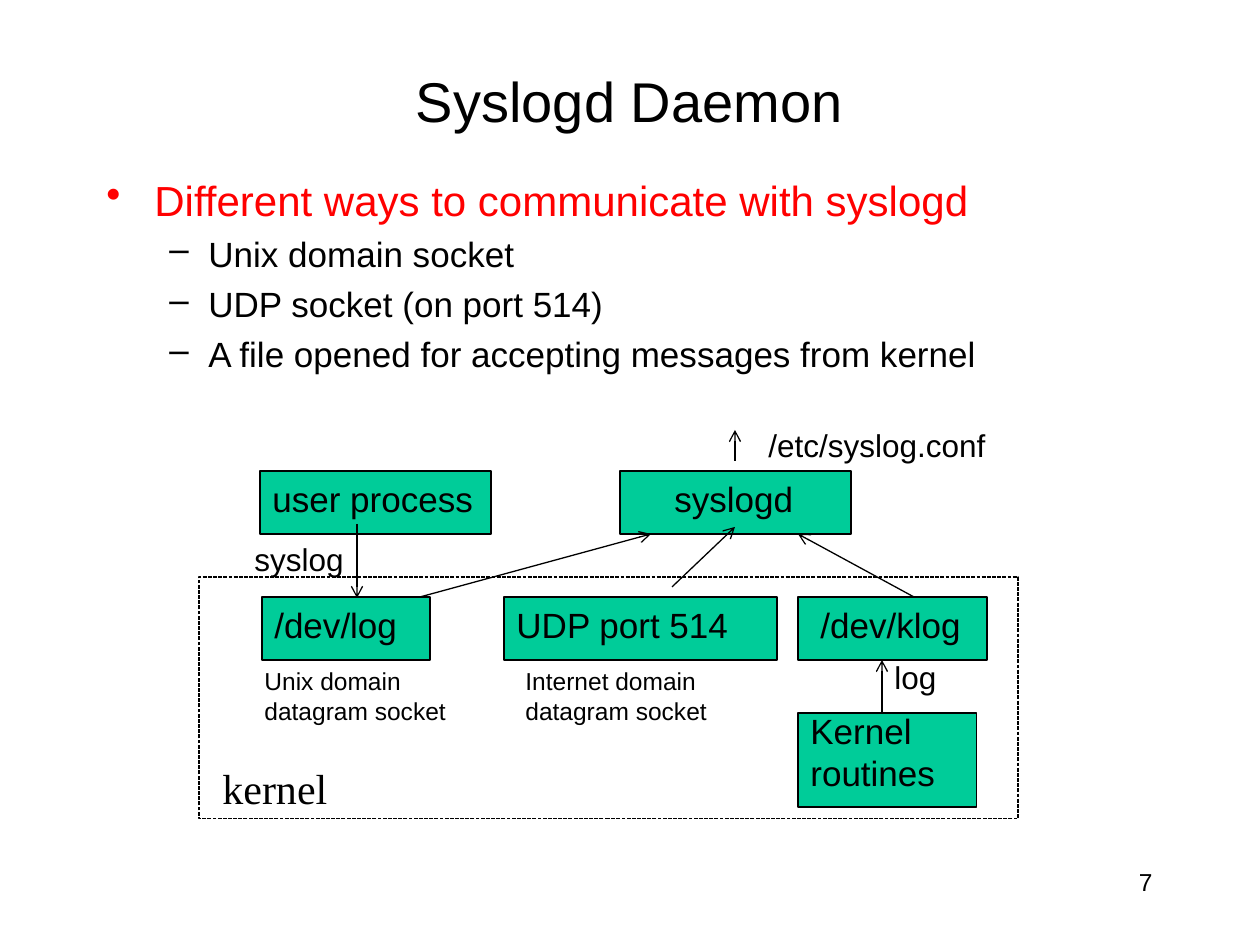
from pptx import Presentation
from pptx import util as u
from pptx.dml.color import RGBColor
from pptx.enum import dml, shapes, text
from pptx.oxml.ns import qn
from lxml import etree

PX = 914400 // 126
BLACK, GREEN, RED = "000000", "00CC99", "FF0000"

# Content: lengths in pixels
TITLE = ("Syslogd Daemon", (94, 53, 1071, 94))
BODY_AT = (94, 168, 1071, 230)
LEVELS = [  # bullet, left margin, hanging indent, size, colour, space before
    dict(char="•", margin=48, hang=48, size=24, color=RED, before=5.5),
    dict(char="–", margin=102, hang=39, size=20, color=BLACK, before=4.6),
]
BULLETS = [
    (0, "Different ways to communicate with syslogd"),
    (1, "Unix domain socket"),
    (1, "UDP socket (on port 514)"),
    (1, "A file opened for accepting messages from kernel"),
]
KERNEL_AREA = (199, 577, 819, 242)
USER_Y, DEV_Y, BOX_H = 471, 597, 63
BOXES = [
    (798, 713, 179, 94),
    (620, USER_Y, 231, BOX_H),
    (260, USER_Y, 231, BOX_H),
    (262, DEV_Y, 168, BOX_H),
    (504, DEV_Y, 273, BOX_H),
    (798, DEV_Y, 189, BOX_H),
]
LABELS = [  # text, place, size, wraps
    ("user process", (260, USER_Y, 228, 55), 20, False),
    ("syslogd", (662, USER_Y, 145, 55), 20, False),
    ("/dev/log", (262, DEV_Y, 149, 55), 20, False),
    ("UDP port 514", (504, DEV_Y, 284, 55), 20, True),
    ("/dev/klog", (808, DEV_Y, 210, 55), 20, True),
    ("syslog", (242, 534, 116, 50), 18, False),
    ("Unix domain\ndatagram socket", (252, 660, 208, 72), 14, False),
    ("Internet domain\ndatagram socket", (513, 660, 208, 72), 14, False),
    ("Kernel routines", (798, 703, 210, 97), 20, True),
    ("log", (882, 652, 68, 50), 18, False),
    ("/etc/syslog.conf", (756, 420, 244, 50), 18, False),
]
KERNEL_LABEL = ("kernel", (210, 756, 131, 63), 24, False)
PAGE_NUMBER = ("7", (903, 861, 262, 63), 14, True)
ARROWS = [  # x and y of start, x and y of head
    (357, 524, 357, 598),
    (420, 597, 651, 534),
    (672, 587, 735, 527),
    (914, 597, 798, 534),
    (735, 461, 735, 430),
    (882, 713, 882, 660),
]


# Helpers
def px(values):
    return [u.Emu(v * PX) for v in values]


def rgb(value):
    return RGBColor.from_string(value)


def write(p, words, size, color=BLACK, font="Arial"):
    r = p.add_run()
    r.text = words
    for name, value in dict(name=font, size=u.Pt(size), bold=False).items():
        setattr(r.font, name, value)
    r.font.color.rgb = rgb(color)


def add_label(words, at, size, wrap, font="Arial", align=text.PP_ALIGN.LEFT):
    tf = s.shapes.add_textbox(*px(at)).text_frame
    tf.word_wrap = wrap
    for i, line in enumerate(words.split("\n")):
        p = tf.add_paragraph() if i else tf.paragraphs[0]
        p.alignment = align
        write(p, line, size, font=font)


def outline(line):
    line.color.rgb = rgb(BLACK)
    line.width = u.Pt(0.75)


def add_box(at, fill=None):
    sp = s.shapes.add_shape(shapes.MSO_SHAPE.RECTANGLE, *px(at))
    sp.shadow.inherit = False
    outline(sp.line)
    if fill:
        sp.fill.solid()
        sp.fill.fore_color.rgb = rgb(fill)
    else:
        sp.fill.background()
    return sp


def add_arrow(ends):
    c = s.shapes.add_connector(shapes.MSO_CONNECTOR.STRAIGHT, *px(ends))
    outline(c.line)
    etree.SubElement(c.line._get_or_add_ln(), qn("a:tailEnd"), type="arrow")
    etree.SubElement(c._element.spPr, qn("a:effectLst"))


prs = Presentation()
prs.slide_width, prs.slide_height = u.Inches(10), u.Inches(7.5)
s = prs.slides.add_slide(prs.slide_layouts[5])

# Title
title = s.shapes.title
title.left, title.top, title.width, title.height = px(TITLE[1])
tf = title.text_frame
tf.vertical_anchor = text.MSO_ANCHOR.MIDDLE
tf.paragraphs[0].alignment = text.PP_ALIGN.CENTER
write(tf.paragraphs[0], TITLE[0], 32)

# Bullet list
tf = s.shapes.add_textbox(*px(BODY_AT)).text_frame
tf.word_wrap = True
for i, (level, words) in enumerate(BULLETS):
    p = tf.add_paragraph() if i else tf.paragraphs[0]
    style = LEVELS[level]
    p.level = level
    p.space_before = u.Pt(style["before"])
    pPr = p._p.get_or_add_pPr()
    pPr.set("marL", str(style["margin"] * PX))
    pPr.set("indent", str(-style["hang"] * PX))
    etree.SubElement(pPr, qn("a:buChar"), char=style["char"])
    write(p, words, style["size"], style["color"])

# Diagram
add_box(KERNEL_AREA).line.dash_style = dml.MSO_LINE.SQUARE_DOT
for at in BOXES:
    add_box(at, GREEN)
for label in LABELS:
    add_label(*label)
add_label(*KERNEL_LABEL, font="Times New Roman")
for ends in ARROWS:
    add_arrow(ends)

# Page number
add_label(*PAGE_NUMBER, align=text.PP_ALIGN.RIGHT)

prs.save("out.pptx")
